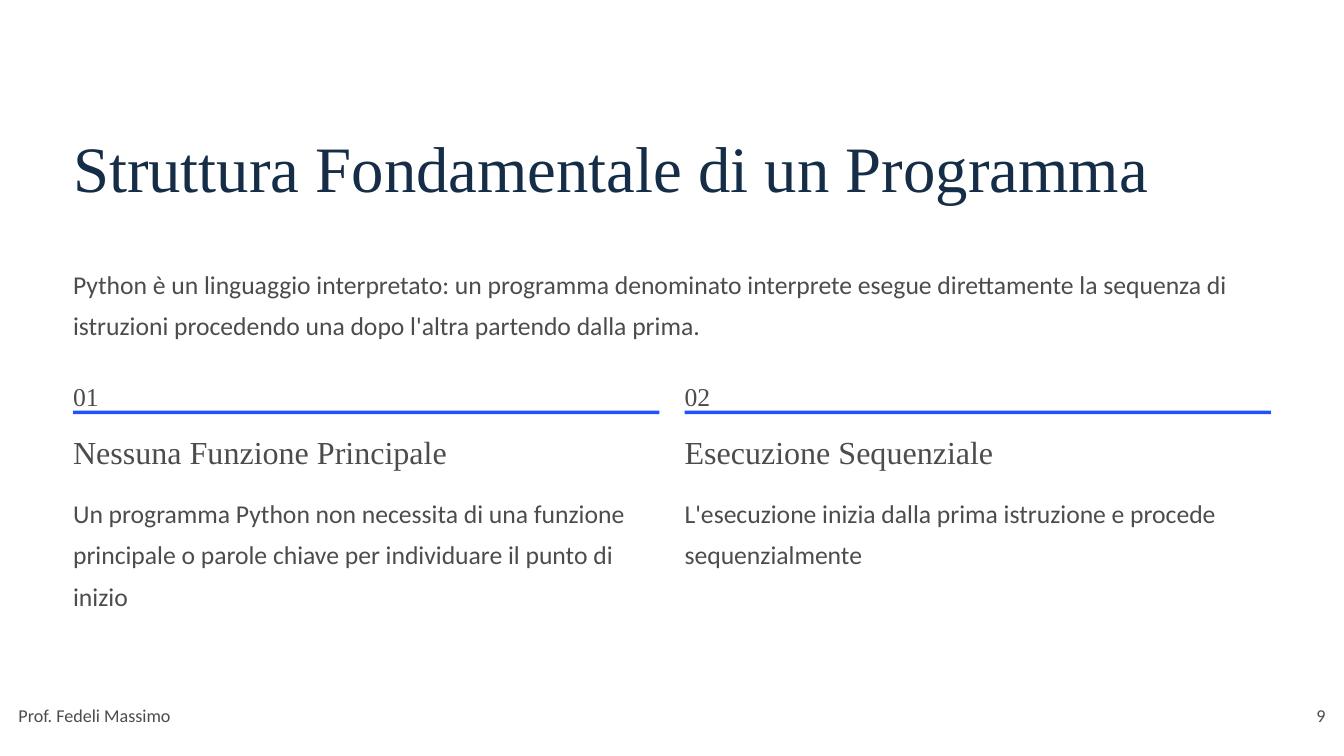
from dataclasses import dataclass

import pptx
import pptx.dml.color
import pptx.enum.shapes
import pptx.enum.text
import pptx.shapes.base
import pptx.slide
import pptx.util

Inches = pptx.util.Inches
Pt = pptx.util.Pt
RGBColor = pptx.dml.color.RGBColor
Align = pptx.enum.text.PP_ALIGN

WHITE = RGBColor(0xFF, 0xFF, 0xFF)
NAVY = RGBColor(0x15, 0x2D, 0x47)
GRAY = RGBColor(0x4C, 0x4C, 0x4D)
BLUE = RGBColor(0x21, 0x50, 0xFE)

LEFT = 0.87
WIDTH = 14.26
GAP = 0.3
COLUMN = (WIDTH - GAP) / 2


@dataclass(frozen=True)
class Style:
    font: str
    size: float
    line: float
    color: RGBColor = GRAY
    wrap: bool = False
    align: Align = Align.LEFT


@dataclass(frozen=True)
class Point:
    label: str
    head: str
    body: str
    height: float


TITLE = Style("Times New Roman", 55.5, 69.5, NAVY)
BODY = Style("Calibri", 22, 35.5, wrap=True)
LABEL = Style("Times New Roman", 22, 35.5)
HEAD = Style("Times New Roman", 27.5, 34.5)
FOOTER = Style("Calibri", 15.5, 25)
NUMBER = Style("Calibri", 15.5, 25, align=Align.RIGHT)

POINTS = [
    Point("01", "Nessuna Funzione Principale",
          "Un programma Python non necessita di una funzione principale "
          "o parole chiave per individuare il punto di inizio", 1.49),
    Point("02", "Esecuzione Sequenziale",
          "L'esecuzione inizia dalla prima istruzione e procede sequenzialmente",
          0.99),
]


def write(shape: pptx.shapes.base.BaseShape, text: str, style: Style) -> None:
    frame = shape.text_frame
    frame.margin_left = frame.margin_right = 0
    frame.margin_top = frame.margin_bottom = 0
    frame.auto_size = pptx.enum.text.MSO_AUTO_SIZE.NONE
    frame.vertical_anchor = pptx.enum.text.MSO_ANCHOR.TOP
    frame.word_wrap = style.wrap
    frame.text = text
    para = frame.paragraphs[0]
    para.alignment = style.align
    para.line_spacing = Pt(style.line)
    para.font.name = style.font
    para.font.size = Pt(style.size)
    para.font.color.rgb = style.color


def add_text(slide: pptx.slide.Slide, text: str, style: Style,
             left: float, top: float, width: float, height: float) -> None:
    box = slide.shapes.add_textbox(
        Inches(left), Inches(top), Inches(width), Inches(height))
    write(box, text, style)


def add_title(slide: pptx.slide.Slide, text: str) -> None:
    title = slide.shapes.title
    title.left, title.top = Inches(LEFT), Inches(1.48)
    title.width, title.height = Inches(13.5), Inches(0.97)
    write(title, text, TITLE)


def add_rule(slide: pptx.slide.Slide, left: float) -> None:
    rule = slide.shapes.add_shape(
        pptx.enum.shapes.MSO_SHAPE.RECTANGLE,
        Inches(left), Inches(4.89), Inches(COLUMN), Inches(0.04))
    rule.shadow.inherit = False
    rule.fill.solid()
    rule.fill.fore_color.rgb = BLUE
    rule.line.fill.background()


def add_point(slide: pptx.slide.Slide, point: Point, left: float) -> None:
    add_text(slide, point.label, LABEL, left, 4.41, 0.31, 0.39)
    add_rule(slide, left)
    add_text(slide, point.head, HEAD, left, 5.13, 4.64, 0.48)
    add_text(slide, point.body, BODY, left, 5.8, COLUMN, point.height)


def main() -> None:
    deck = pptx.Presentation()
    deck.slide_width, deck.slide_height = Inches(16), Inches(9)
    slide = deck.slides.add_slide(deck.slide_layouts[5])
    slide.background.fill.solid()
    slide.background.fill.fore_color.rgb = WHITE

    add_title(slide, "Struttura Fondamentale di un Programma")
    add_text(slide,
             "Python è un linguaggio interpretato: un programma denominato "
             "interprete esegue direttamente la sequenza di istruzioni "
             "procedendo una dopo l'altra partendo dalla prima.",
             BODY, LEFT, 3.07, WIDTH, 0.99)
    for index, point in enumerate(POINTS):
        add_point(slide, point, LEFT + index * (COLUMN + GAP))
    add_text(slide, "Prof. Fedeli Massimo", FOOTER, 0.22, 8.3, 2.31, 0.35)
    add_text(slide, "9", NUMBER, 15.4, 8.3, 0.38, 0.35)
    deck.save("out.pptx")


if __name__ == "__main__":
    main()
